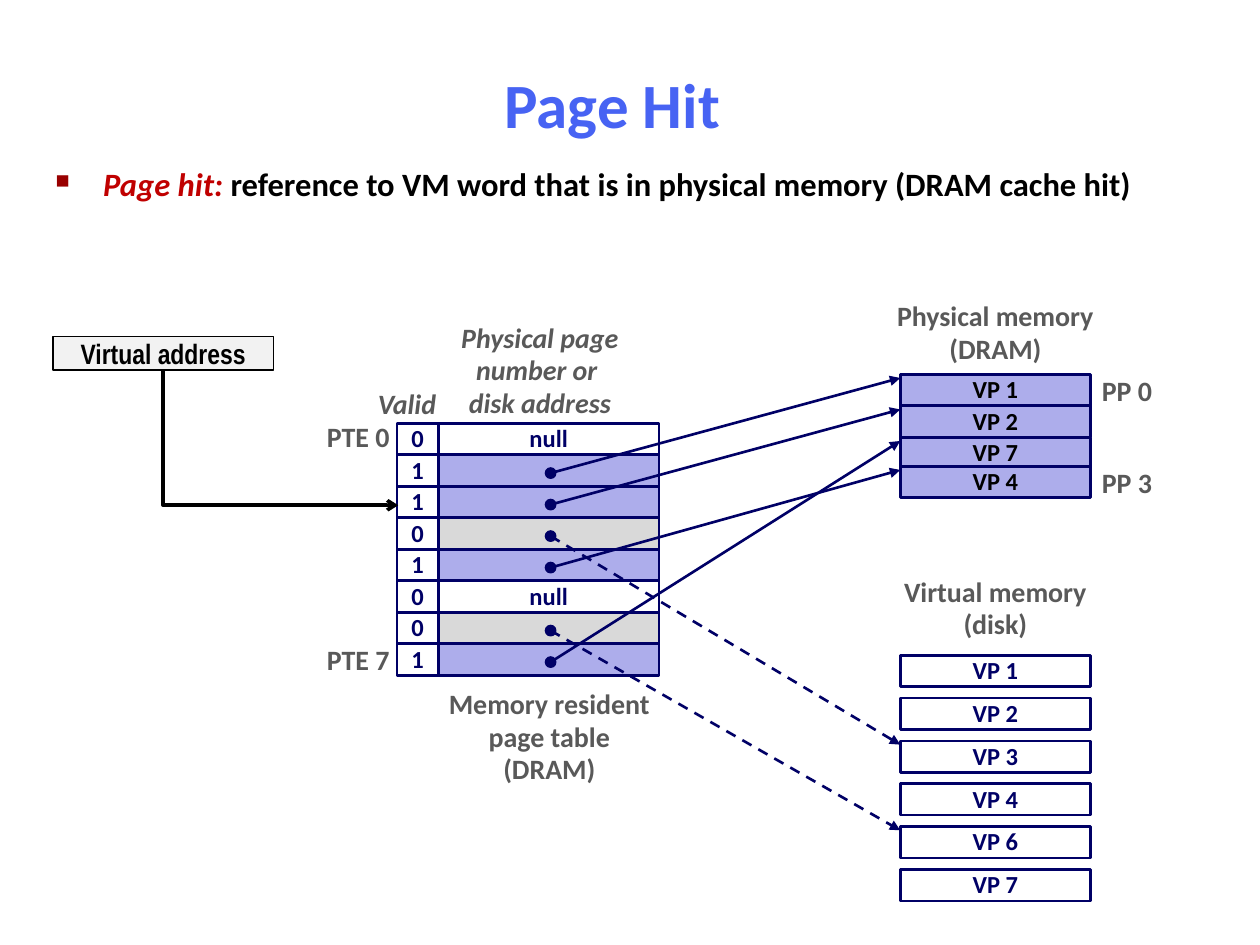
from lxml import etree
from pptx import Presentation
from pptx import util as u
from pptx.dml.color import RGBColor
from pptx.enum import dml, shapes, text
from pptx.oxml import ns

COLORS = dict(navy="000066", lilac="ADADEB", gray="D9D9D9", pale="F2F2F2", white="FFFFFF",
              black="000000", label="595959", title="4763F3", red="C00000", bullet="990000")
CENTER, LEFT, RIGHT = text.PP_ALIGN.CENTER, text.PP_ALIGN.LEFT, text.PP_ALIGN.RIGHT
TOP, MIDDLE = text.MSO_ANCHOR.TOP, text.MSO_ANCHOR.MIDDLE

prs = Presentation()
prs.slide_width, prs.slide_height = u.Inches(10), u.Inches(7.5)
slide = prs.slides.add_slide(prs.slide_layouts[6])
# All lengths are in cells of a grid of 40 columns by 30 rows
COL, ROW = prs.slide_width / 40, prs.slide_height / 30


def color(name):
    return RGBColor.from_string(COLORS[name])


def place(x, y, w, h):
    return round(x * COL), round(y * ROW), round(w * COL), round(h * ROW)


def add_run(para, words, size, ink, italic=False, font="Calibri"):
    run = para.add_run()
    run.text = words
    run.font.name, run.font.size = font, u.Pt(size)
    run.font.bold, run.font.italic = True, italic
    run.font.color.rgb = color(ink)


def write(frame, lines, size, ink, align=CENTER, anchor=MIDDLE, italic=False,
          font="Calibri", wrap=False, spacing=0.98):
    frame.word_wrap, frame.vertical_anchor = wrap, anchor
    for i, line in enumerate(lines):
        para = frame.add_paragraph() if i else frame.paragraphs[0]
        para.alignment, para.line_spacing = align, spacing
        add_run(para, line, size, ink, italic, font)


def add_label(box, *lines, size=16, ink="label", **style):
    label = slide.shapes.add_textbox(*place(*box))
    write(label.text_frame, lines, size, ink, **style)


def add_cell(box, fill, line="navy", width=1.5, kind=shapes.MSO_SHAPE.RECTANGLE):
    cell = slide.shapes.add_shape(kind, *place(*box))
    cell.shadow.inherit = False
    cell.fill.solid()
    cell.fill.fore_color.rgb = color(fill)
    cell.line.color.rgb, cell.line.width = color(line), u.Pt(width)
    return cell


def add_arrow(start, end, ink="navy", width=1.5, head="triangle", dashed=False,
              kind=shapes.MSO_CONNECTOR.STRAIGHT):
    (x1, y1), (x2, y2) = start, end
    arrow = slide.shapes.add_connector(kind, round(x1 * COL), round(y1 * ROW),
                                       round(x2 * COL), round(y2 * ROW))
    arrow.line.color.rgb, arrow.line.width = color(ink), u.Pt(width)
    if dashed:
        arrow.line.dash_style = dml.MSO_LINE.DASH
    line = arrow._element.spPr.find(ns.qn("a:ln"))
    etree.SubElement(line, ns.qn("a:tailEnd"), type=head)
    etree.SubElement(arrow._element.spPr, ns.qn("a:effectLst"))
    return arrow


def add_heading(x, y, w):
    add_label((x, y, w, 3.44), "Page Hit", size=36, ink="title", wrap=True, spacing=1)
    body = slide.shapes.add_textbox(*place(x + 0.04, y + 3.46, w + 0.12, 2.64)).text_frame
    body.word_wrap = True
    para = body.paragraphs[0]
    add_run(para, "Page hit: ", 18.6, "red", italic=True)
    add_run(para, "reference to VM word that is in physical memory (DRAM cache hit)", 18.6, "black")
    # Square bullet with a hanging indent
    props = para._p.get_or_add_pPr()
    indent = u.Inches(0.38)
    props.set("marL", str(indent))
    props.set("indent", str(-indent))
    tint = etree.SubElement(props, ns.qn("a:buClr"))
    etree.SubElement(tint, ns.qn("a:srgbClr"), val=COLORS["bullet"])
    etree.SubElement(props, ns.qn("a:buSzPct"), val="60000")
    etree.SubElement(props, ns.qn("a:buChar"), char="■")


def add_page_table(x, y, valid_w, address_w, entries):
    """Draws the table and returns the centre of each pointer dot by row."""
    dots = {}
    for row, (valid, content) in enumerate(entries):
        top = y + row
        fill = "white" if content == "null" else "lilac" if valid == "1" else "gray"
        address = add_cell((x + valid_w, top, address_w, 1), fill)
        flag = add_cell((x, top, valid_w, 1), "white")
        write(flag.text_frame, [valid], 14, "navy")
        if content == "null":
            write(address.text_frame, [content], 14, "navy")
        else:
            dots[row] = (x + valid_w + address_w / 2 + 0.06, top + 0.58)
    for cx, cy in dots.values():
        add_cell((cx - 0.16, cy - 0.16, 0.32, 0.32), "navy", width=1, kind=shapes.MSO_SHAPE.OVAL)

    # Labels around the table
    last = len(entries) - 1
    add_label((x - 1, y - 1.32, 3, 1.44), "Valid", italic=True, align=LEFT, anchor=TOP, wrap=True)
    add_label((x + 1.64, y - 3.44, 5.8, 3.56), "Physical page", "number or ", "disk address",
              italic=True)
    add_label((x + 1.24, y + last + 1.2, 7.2, 3.56), "Memory resident", "page table", "(DRAM)",
              anchor=TOP)
    for row, shift in ((0, -0.28), (last, -0.2)):
        add_label((x - 2.64, y + row + shift, 2.8, 1.44), f"PTE {row}", align=RIGHT)
    return dots


def add_memory(x, y, w, caption, rise, tops, pages, fill, ink):
    """Draws a stack of pages and returns the arrow target of each one."""
    add_label((x - 1, y - rise, w + 2, 2.48), *caption, anchor=TOP)
    targets = {}
    for top, page in zip(tops, pages):
        cell = add_cell((x, y + top, w, 1), fill)
        write(cell.text_frame, [page], 14, ink)
        targets[page] = (x, y + top + 0.12)
    return targets


def add_virtual_address(x, y, w, h, target):
    box = add_cell((x, y, w, h), "pale", line="black", width=1)
    write(box.text_frame, ["Virtual address"], 16, "black", font="Arial Narrow",
          wrap=True, spacing=1)
    # Elbow going down, then right: a quarter turn of a mirrored one-bend connector
    x1, y1 = x + w / 2, y + h
    across, down = target[0] - x1, target[1] - y1
    cx, cy = x1 + across / 2, y1 + down / 2
    elbow = add_arrow((cx + down / 2, cy - across / 2), (cx - down / 2, cy + across / 2),
                      ink="black", width=2, head="arrow", kind=shapes.MSO_CONNECTOR.ELBOW)
    spPr = elbow._element.spPr
    spPr.find(ns.qn("a:xfrm")).set("rot", str(270 * 60000))
    spPr.find(ns.qn("a:prstGeom")).set("prst", "bentConnector2")


add_heading(1.32, 1.56, 36.24)

table_x, table_y = 12.6, 13.44
dots = add_page_table(table_x, table_y, 1.32, 7, [
    ("0", "null"), ("1", "page"), ("1", "page"), ("0", "page"),
    ("1", "page"), ("0", "null"), ("0", "page"), ("1", "page")])

dram_x, dram_y, page_w = 28.58, 11.88, 6.04
dram = add_memory(dram_x, dram_y, page_w, ("Physical memory", "(DRAM)"), 2.56, (0, 1, 2, 2.92),
                  ("VP 1", "VP 2", "VP 7", "VP 4"), "lilac", "black")
for name, shift in (("PP 0", -0.16), ("PP 3", 2.76)):
    add_label((dram_x + page_w - 0.04, dram_y + shift, 2.4, 1.44), name)

disk = add_memory(dram_x, 20.8, page_w, ("Virtual memory", "(disk)"), 2.72,
                  [1.36 * i for i in range(6)],
                  ("VP 1", "VP 2", "VP 3", "VP 4", "VP 6", "VP 7"), "white", "navy")

# Pointers from table entries to pages
for row, page in ((1, "VP 1"), (2, "VP 2"), (4, "VP 4"), (7, "VP 7")):
    add_arrow(dots[row], dram[page])
for row, page in ((3, "VP 3"), (6, "VP 6")):
    add_arrow(dots[row], disk[page], dashed=True)

add_virtual_address(1.68, 10.68, 7, 1.08, (table_x + 0.04, table_y + 2.6))

prs.save("out.pptx")
